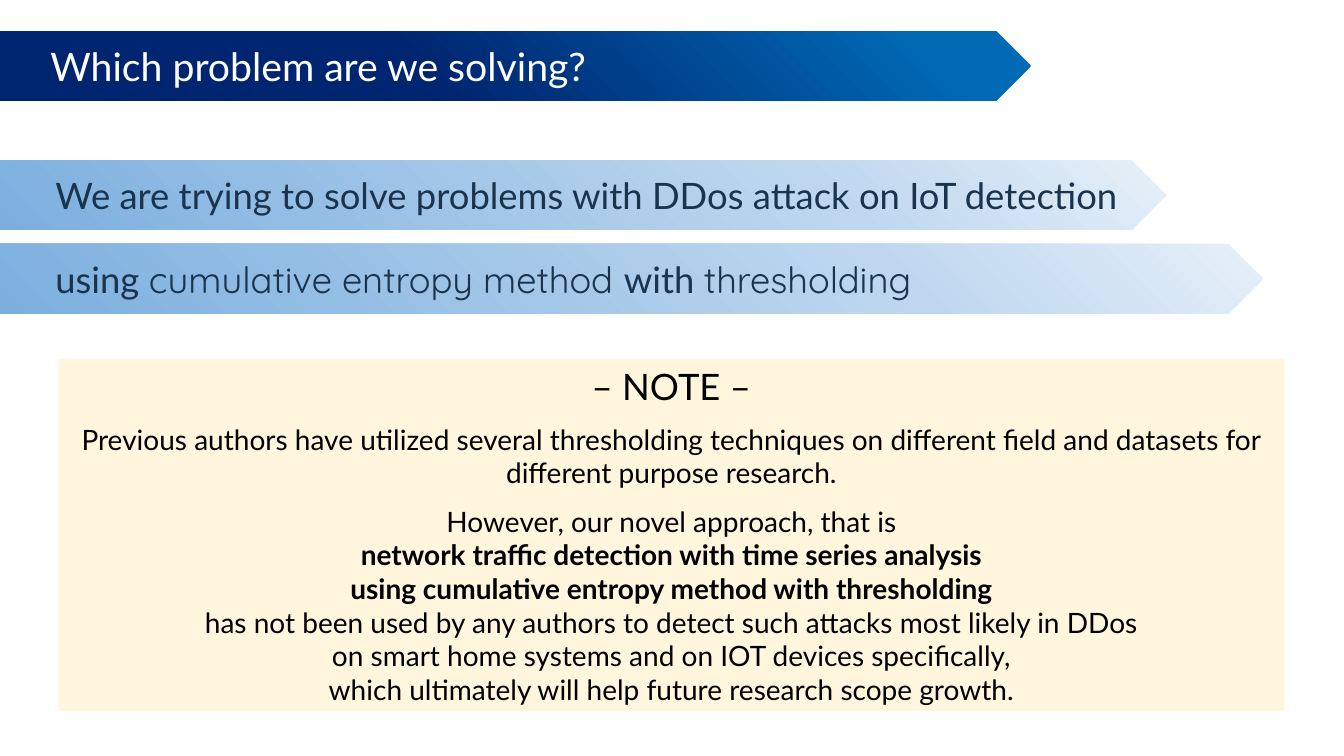
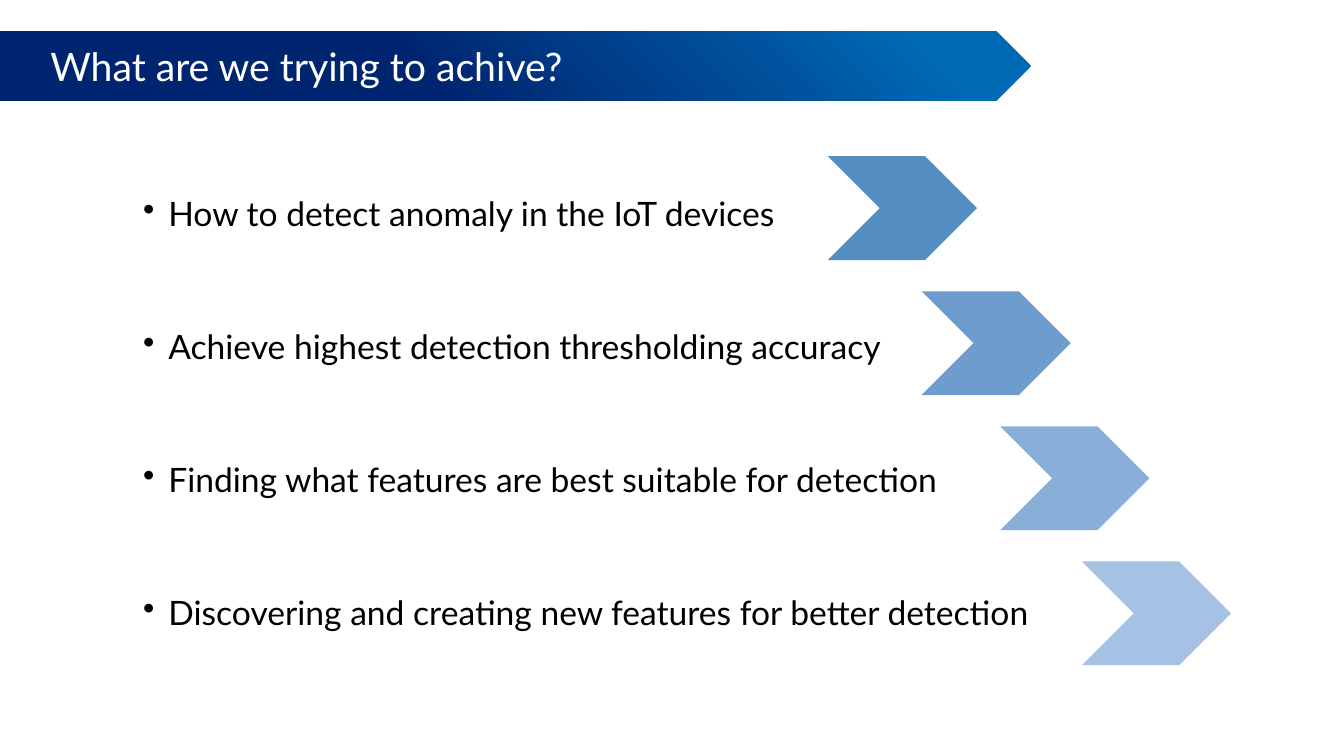
from lxml import etree
from pptx import Presentation
from pptx.dml.color import RGBColor
from pptx.enum import shapes, text
from pptx.oxml.ns import qn
from pptx.util import Inches, Pt

FONT, ALT = "Lato", "Quicksand"
BLACK, WHITE, INK, CREAM = "000000", "FFFFFF", "1A344E", "FFF6DD"
DARK = [(11, "0069B4"), (59, "002570")]
PALE = [(0, "E7F0F9"), (30, "BED7EF"), (100, "7CAFDE")]
KIND = shapes.MSO_SHAPE
INSETS = (0.1, 0.05, 0.1, 0.05)

TITLES = ["Which problem are we solving?", "What are we trying to achive?"]

# top, width, runs of (text, font)
STRIPES = [
    (1.59, 11.57, [("We are trying to solve problems with DDos attack on IoT detection", FONT)]),
    (2.42, 12.53, [("using ", FONT), ("cumulative entropy method ", ALT),
                   ("with ", FONT), ("thresholding", ALT)]),
]

# text, size, bold, space after
NOTE = [
    ("– NOTE –", 26, False, 10.6),
    ("Previous authors have utilized several thresholding techniques on different "
     "field and datasets for different purpose research.", 20, False, 10.6),
    ("However, our novel approach, that is", 20, False, 0),
    ("network traffic detection with time series analysis", 20, True, 0),
    ("using cumulative entropy method with thresholding", 20, True, 0),
    ("has not been used by any authors to detect such attacks most likely in DDos", 20, False, 0),
    ("on smart home systems and on IOT devices specifically,", 20, False, 0),
    ("which ultimately will help future research scope growth.", 20, False, 0),
]

# text, chevron left, chevron colour
GOALS = [
    ("How to detect anomaly in the IoT devices", 8.21, "538DC1"),
    ("Achieve highest detection thresholding accuracy", 9.14, "6E9DCD"),
    ("Finding what features are best suitable for detection", 9.92, "89AFD8"),
    ("Discovering and creating new features for better detection", 10.73, "A5C1E3"),
]


def rgb(code):
    return RGBColor.from_string(code)


def set_frame(shape, insets, anchor):
    frame = shape.text_frame
    frame.word_wrap = True
    frame.vertical_anchor = anchor
    (frame.margin_left, frame.margin_top,
     frame.margin_right, frame.margin_bottom) = map(Inches, insets)
    return frame


def add_run(para, words, size, color, font=FONT, bold=False):
    run = para.add_run()
    run.text = words
    run.font.name, run.font.size, run.font.bold = font, Pt(size), bold
    run.font.color.rgb = rgb(color)


def add_form(slide, kind, box, color=None):
    shape = slide.shapes.add_shape(kind, *map(Inches, box))
    shape.shadow.inherit = False
    shape.line.fill.background()
    if color:
        shape.fill.solid()
        shape.fill.fore_color.rgb = rgb(color)
    return shape


def fade(shape, stops):
    """Fill from the top right corner to the bottom left one."""
    shape.fill.gradient()
    shape.fill.gradient_angle = 225
    group = shape.element.spPr.find(".//" + qn("a:gsLst"))
    for old in list(group):
        group.remove(old)
    for percent, color in stops:
        stop = etree.SubElement(group, qn("a:gs"), pos=str(percent * 1000))
        etree.SubElement(stop, qn("a:srgbClr"), val=color)


def add_band(slide, top, width, stops, indent, runs, size, color):
    band = add_form(slide, KIND.PENTAGON, (0, top, width, 0.69))
    fade(band, stops)
    frame = set_frame(band, (indent, *INSETS[1:]), text.MSO_ANCHOR.MIDDLE)
    para = frame.paragraphs[0]
    para.alignment = text.PP_ALIGN.LEFT
    for words, font in runs:
        add_run(para, words, size, color, font)


def add_slide(deck, title):
    slide = deck.slides.add_slide(deck.slide_layouts[6])
    add_band(slide, 0.31, 10.23, DARK, 0.5, [(title, FONT)], 28, WHITE)
    return slide


def add_note(slide):
    card = add_form(slide, KIND.RECTANGLE, (0.58, 3.56, 12.16, 3.49), CREAM)
    frame = set_frame(card, INSETS, text.MSO_ANCHOR.TOP)
    for i, (words, size, bold, after) in enumerate(NOTE):
        para = frame.add_paragraph() if i else frame.paragraphs[0]
        para.alignment = text.PP_ALIGN.CENTER
        para.space_after = Pt(after)
        add_run(para, words, size, BLACK, bold=bold)


def add_goal(slide, row, words, left, color):
    add_form(slide, KIND.CHEVRON, (left, 1.55 + 1.34 * row, 1.48, 1.03), color)
    box = slide.shapes.add_textbox(*map(Inches, (1.23, 1.7 + 1.32 * row, 9.44, 0.87)))
    frame = set_frame(box, (0.19, 0.02, 0.02, 0.02), text.MSO_ANCHOR.MIDDLE)
    para = frame.paragraphs[0]
    para.line_spacing = 0.9
    props = para._p.get_or_add_pPr()
    props.set("marL", str(Inches(0.25)))
    props.set("indent", str(Inches(-0.25)))
    etree.SubElement(props, qn("a:buChar"), char="•")
    add_run(para, words, 24, BLACK)


def main():
    deck = Presentation()
    deck.slide_width, deck.slide_height = Inches(13.33), Inches(7.5)
    problem, aims = [add_slide(deck, title) for title in TITLES]
    add_note(problem)
    for top, width, runs in STRIPES:
        add_band(problem, top, width, PALE, 0.55, runs, 26, INK)
    for row, goal in enumerate(GOALS):
        add_goal(aims, row, *goal)
    deck.save("out.pptx")


if __name__ == "__main__":
    main()
